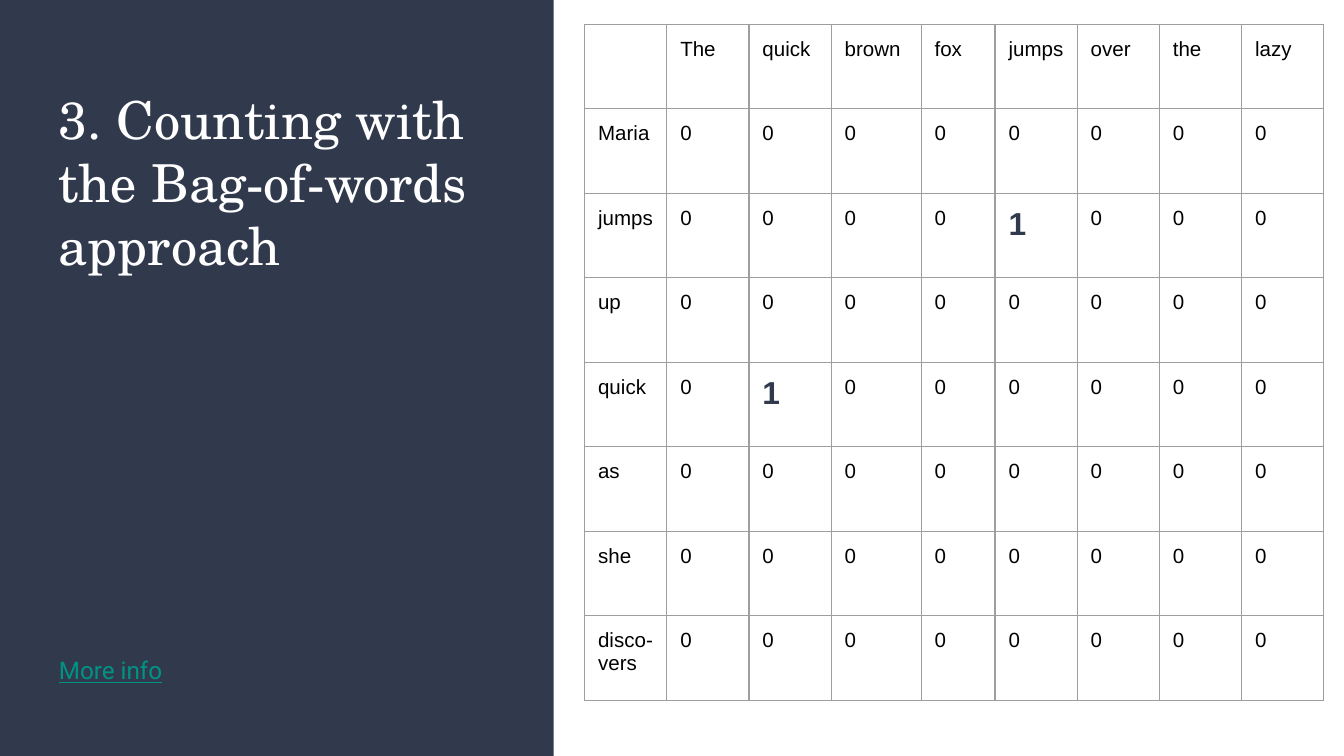
from lxml import etree
from pptx import Presentation
from pptx import util as u
from pptx.dml import color
from pptx.enum import shapes
from pptx.oxml import ns

WIDE = 10
HIGH = WIDE * 9 / 16
NAVY, WHITE, BLACK, TEAL, GREY = "31394D", "FFFFFF", "000000", "009384", "9E9E9E"
TITLE = {"name": "TeX Gyre Schola", "size": u.Pt(28)}
LINK = {"name": "Roboto", "size": u.Pt(13), "underline": True}
PLAIN = {"name": "Arial", "size": u.Pt(11)}
STRONG = {"name": "Arial", "size": u.Pt(17), "bold": True}
INSET = {f"margin_{s}": u.Inches(0.1) for s in ("left", "top", "right", "bottom")}
HEADS = ["The", "quick", "brown", "fox", "jumps", "over", "the", "lazy"]
WORDS = ["Maria", "jumps", "up", "quick", "as", "she", "disco-vers"]
WIDTHS = {"brown": 0.67, "fox": 0.55}


def paint(target, code):
    """Give a fill or a font a solid hex colour."""
    if hasattr(target, "solid"):
        target.solid()
        target.fore_color.rgb = color.RGBColor.from_string(code)
    else:
        target.color.rgb = color.RGBColor.from_string(code)


def assign(target, values):
    """Set attributes from a dict."""
    for name, value in values.items():
        setattr(target, name, value)


def write(par, words, style, code):
    """Add one styled run to a paragraph."""
    run = par.add_run()
    run.text = words
    assign(run.font, style)
    paint(run.font, code)


def label(slide, box, words, style, code, **spacing):
    """Place a wrapped text box."""
    frame = slide.shapes.add_textbox(*map(u.Inches, box)).text_frame
    assign(frame, {"word_wrap": True, **INSET})
    par = frame.paragraphs[0]
    assign(par, spacing)
    write(par, words, style, code)


def panel(slide, left, top, width, height):
    """Draw the dark panel with its title and link."""
    back = slide.shapes.add_shape(shapes.MSO_SHAPE.RECTANGLE,
                                  *map(u.Inches, (left, top, width, height)))
    back.shadow.inherit = False
    back.line.fill.background()
    paint(back.fill, NAVY)
    inner = left + 0.34
    label(slide, (inner, top + 0.55, 3.42, 2),
          "3. Counting with the Bag-of-words approach", TITLE, WHITE)
    label(slide, (inner, top + height - 0.88, 3.42, 0.38), "More info", LINK, TEAL,
          line_spacing=1.15, space_after=u.Pt(16))


def border(cell):
    """Outline a cell on all four sides."""
    props = cell._tc.get_or_add_tcPr()
    for place, side in enumerate(("lnL", "lnR", "lnT", "lnB")):
        line = etree.Element(ns.qn(f"a:{side}"), w=str(u.Pt(0.75)))
        fill = etree.SubElement(line, ns.qn("a:solidFill"))
        etree.SubElement(fill, ns.qn("a:srgbClr"), val=GREY)
        props.insert(place, line)


def matrix(slide, left, top, width, height):
    """Draw the table that marks where row and column words match."""
    rows = [[""] + HEADS]
    rows += [[word] + [str(int(word == head)) for head in HEADS] for word in WORDS]
    grid = slide.shapes.add_table(len(rows), len(rows[0]),
                                  *map(u.Inches, (left, top, width, height))).table
    assign(grid, {"first_row": False, "horz_banding": False})
    usual = (width - sum(WIDTHS.values())) / (len(rows[0]) - len(WIDTHS))
    for col, head in zip(grid.columns, rows[0]):
        col.width = u.Inches(WIDTHS.get(head, usual))
    for r, row in enumerate(rows):
        for c, words in enumerate(row):
            cell = grid.cell(r, c)
            assign(cell, INSET)
            cell.fill.background()
            border(cell)
            if words:
                style, code = (STRONG, NAVY) if words == "1" else (PLAIN, BLACK)
                write(cell.text_frame.paragraphs[0], words, style, code)


def main():
    """Build and save the slide."""
    deck = Presentation()
    assign(deck, {"slide_width": u.Inches(WIDE), "slide_height": u.Inches(HIGH)})
    slide = deck.slides.add_slide(deck.slide_layouts[6])
    paint(slide.background.fill, WHITE)
    panel(slide, 0, 0, 4.12, HIGH)
    matrix(slide, 4.35, 0.18, 5.5, 5.03)
    deck.save("out.pptx")


main()
